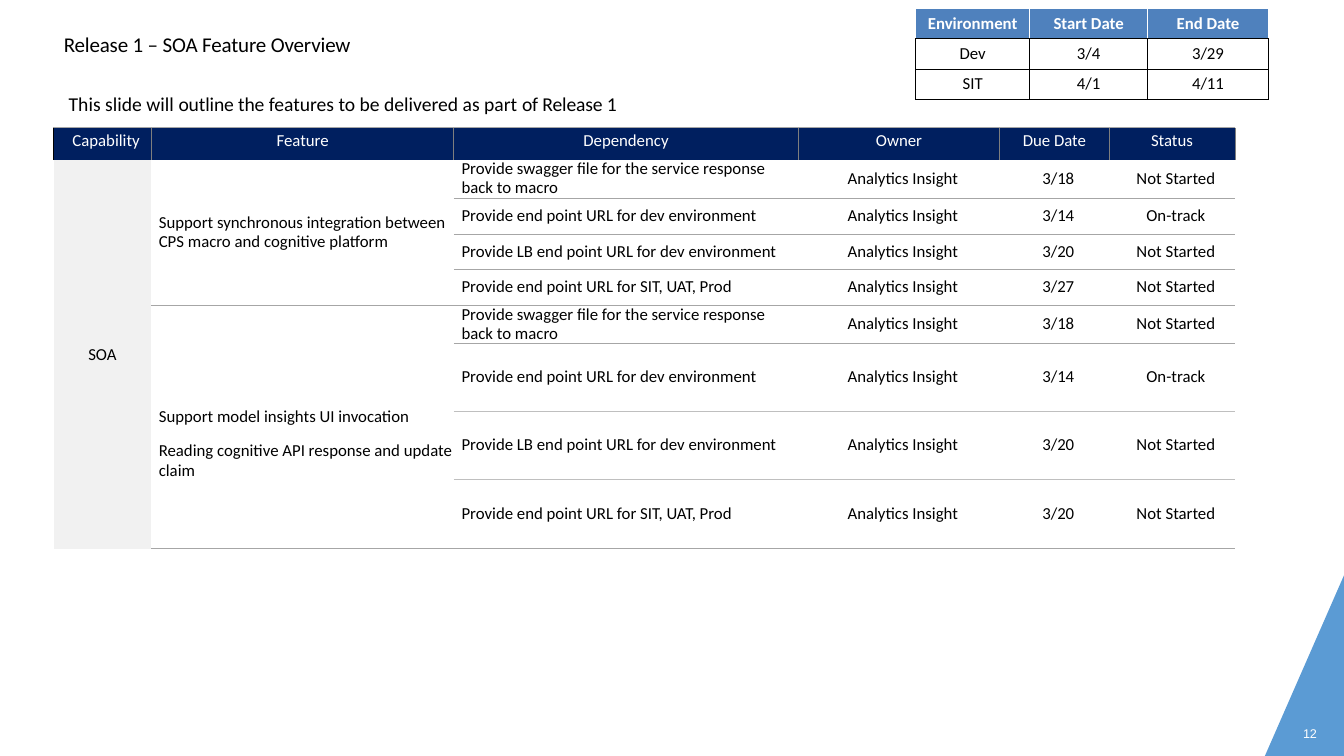
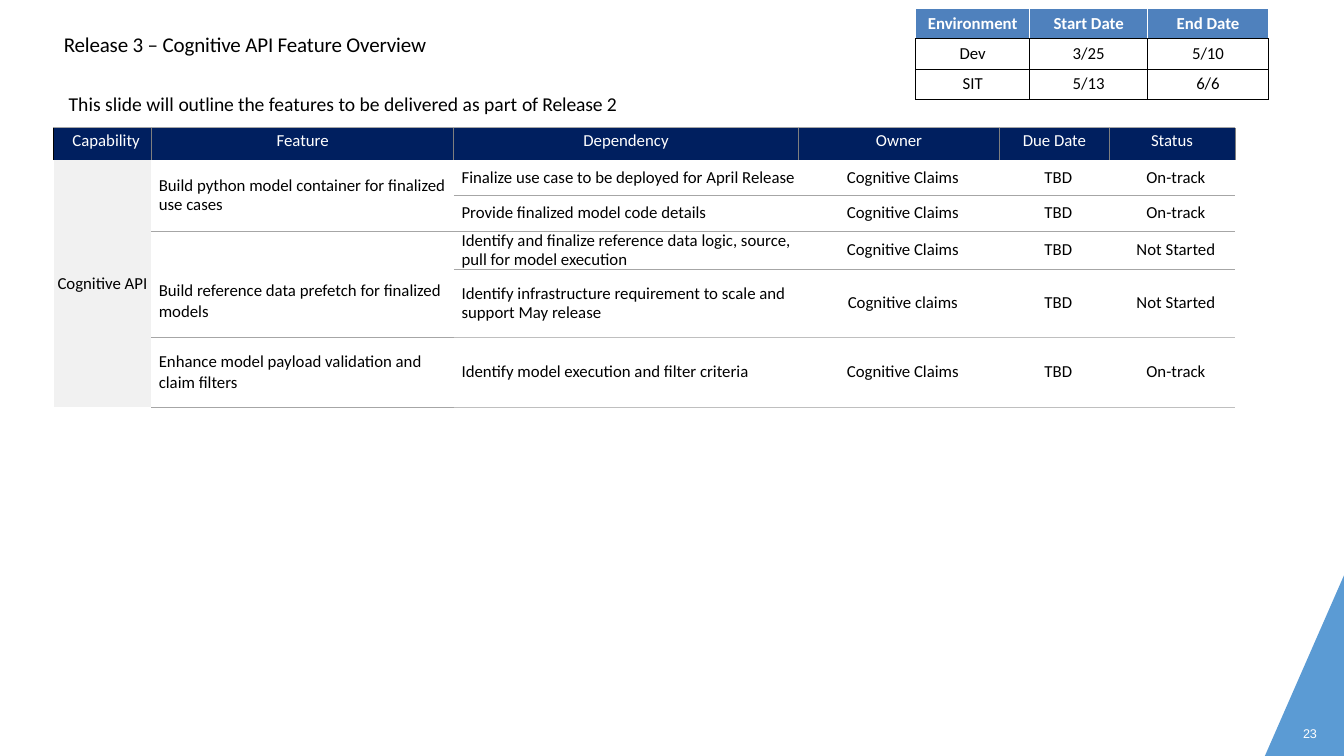
from pptx import Presentation
from pptx.dml.color import RGBColor
from pptx.enum import text
from pptx.oxml import ns, xmlchemy
from pptx.util import Pt

WHITE = RGBColor(0xFF, 0xFF, 0xFF)
BLACK = RGBColor(0x00, 0x00, 0x00)
NAVY = RGBColor(0x00, 0x1F, 0x5F)
BLUE = RGBColor(0x4F, 0x81, 0xBD)
CORNER_BLUE = RGBColor(0x5B, 0x9B, 0xD4)
PANEL = RGBColor(0xF1, 0xF1, 0xF1)
DIVIDER = RGBColor(0x7E, 0x7E, 0x7E)
RULE = RGBColor(0xA6, 0xA6, 0xA6)
LIGHT_RULE = RGBColor(0xBF, 0xBF, 0xBF)

SLIDE_W, SLIDE_H = 960, 540
PLAIN_STYLE = "{2D5ABB26-0587-4C30-8999-92F81FD0307C}"
CENTER = text.PP_ALIGN.CENTER
TIGHT = -10
SIDES = ("L", "R", "T", "B")
SHORT, TWO_LINE, TALL, LAST = 25.5, 27.4, 48.5, 49.5

FEATURE_COLS = (70, 216, 246, 144, 78, 90)
FEATURE_HEADS = ("Capability", "Feature", "Dependency", "Owner", "Due Date", "Status")
ENV_COLS = (81.5, 84.25, 86.25)
ENV_HEADS = ("Environment", "Start Date", "End Date")

RELEASES = [
    {
        "title": "Release 1 – SOA Feature Overview",
        "release": "of Release 1",
        "page": "12",
        "environments": [("Dev", "3/4", "3/29"), ("SIT", "4/1", "4/11")],
        "capability": "SOA",
        "features": [
            (4, 0, 13.4, ["Support synchronous integration between CPS macro and cognitive platform"]),
            (4, 24, None, ["Support model insights UI invocation",
                           "Reading cognitive API response and update claim"]),
        ],
        "rows": [
            (TWO_LINE, RULE, "Provide swagger file for the service response back to macro",
             "Analytics Insight", "3/18", "Not Started"),
            (SHORT, RULE, "Provide end point URL for dev environment",
             "Analytics Insight", "3/14", "On-track"),
            (SHORT, RULE, "Provide LB end point URL for dev environment",
             "Analytics Insight", "3/20", "Not Started"),
            (SHORT, RULE, "Provide end point URL for SIT, UAT, Prod",
             "Analytics Insight", "3/27", "Not Started"),
            (TWO_LINE, RULE, "Provide swagger file for the service response back to macro",
             "Analytics Insight", "3/18", "Not Started"),
            (TALL, LIGHT_RULE, "Provide end point URL for dev environment",
             "Analytics Insight", "3/14", "On-track"),
            (TALL, LIGHT_RULE, "Provide LB end point URL for dev environment",
             "Analytics Insight", "3/20", "Not Started"),
            (LAST, RULE, "Provide end point URL for SIT, UAT, Prod",
             "Analytics Insight", "3/20", "Not Started"),
        ],
    },
    {
        "title": "Release 3 – Cognitive API Feature Overview",
        "release": "of Release 2",
        "page": "23",
        "environments": [("Dev", "3/25", "5/10"), ("SIT", "5/13", "6/6")],
        "capability": "Cognitive API",
        "features": [
            (2, 0, 13.4, ["Build python model container for finalized use cases"]),
            (2, 24, None, ["Build reference data prefetch for finalized models"]),
            (1, 0, None, ["Enhance model payload validation and claim filters"]),
        ],
        "rows": [
            (SHORT, RULE, "Finalize use case to be deployed for April Release",
             "Cognitive Claims", "TBD", "On-track"),
            (SHORT, RULE, "Provide finalized model code details",
             "Cognitive Claims", "TBD", "On-track"),
            (TWO_LINE, RULE, "Identify and finalize reference data logic, source, pull for model execution",
             "Cognitive Claims", "TBD", "Not Started"),
            (TALL, LIGHT_RULE, "Identify infrastructure requirement to scale and support May release",
             "Cognitive claims", "TBD", "Not Started"),
            (LAST, LIGHT_RULE, "Identify model execution and filter criteria",
             "Cognitive Claims", "TBD", "On-track"),
        ],
    },
]


def add_run(p, words, size=12, color=BLACK, bold=False, font="Calibri", spacing=0):
    r = p.add_run()
    r.text = words
    r.font.size = Pt(size)
    r.font.name = font
    r.font.bold = bold
    r.font.color.rgb = color
    if spacing:
        r.font._element.set("spc", str(spacing))


def indent(p, left, first=0):
    pPr = p._p.get_or_add_pPr()
    pPr.set("marL", str(Pt(left)))
    pPr.set("indent", str(Pt(first)))


def add_text_box(s, x, y, w, h):
    tf = s.shapes.add_textbox(Pt(x), Pt(y), Pt(w), Pt(h)).text_frame
    tf.word_wrap = True
    tf.margin_left = tf.margin_right = tf.margin_top = tf.margin_bottom = 0
    return tf


def set_borders(cell, **edges):
    tcPr = cell._tc.get_or_add_tcPr()
    present = [side for side in SIDES if side in edges]
    for i, side in enumerate(present):
        color, width = edges[side]
        ln = xmlchemy.OxmlElement(f"a:ln{side}")
        ln.set("w", str(Pt(width)))
        fill = xmlchemy.OxmlElement("a:solidFill")
        rgb = xmlchemy.OxmlElement("a:srgbClr")
        rgb.set("val", str(color))
        fill.append(rgb)
        ln.append(fill)
        tcPr.insert(i, ln)


def fill_cell(cell, paragraphs, fill=None, align=None, left=0, spacing=None, gap=0,
              top=None, middle=True, **font):
    if fill is None:
        cell.fill.background()
    else:
        cell.fill.solid()
        cell.fill.fore_color.rgb = fill
    if top is not None:
        cell.margin_left = cell.margin_right = cell.margin_bottom = 0
        cell.margin_top = Pt(top)
    if middle:
        cell.vertical_anchor = text.MSO_ANCHOR.MIDDLE
    tf = cell.text_frame
    for i, words in enumerate(paragraphs):
        p = tf.add_paragraph() if i else tf.paragraphs[0]
        p.alignment = align
        if left:
            indent(p, left)
        if spacing:
            p.line_spacing = Pt(spacing)
        if i:
            p.space_before = Pt(gap)
        add_run(p, words, **font)


def add_plain_table(s, x, y, cols, heights):
    frame = s.shapes.add_table(len(heights), len(cols), Pt(x), Pt(y),
                               Pt(sum(cols)), Pt(sum(heights)))
    for style in frame.element.iter(ns.qn("a:tableStyleId")):
        style.text = PLAIN_STYLE
    table = frame.table
    table.horz_banding = False
    for col, w in zip(table.columns, cols):
        col.width = Pt(w)
    for row, h in zip(table.rows, heights):
        row.height = Pt(h)
    return table


def add_corner(s, x, y, w, h):
    builder = s.shapes.build_freeform(Pt(x + w), Pt(y))
    builder.add_line_segments([(Pt(x), Pt(y + h)), (Pt(x + w), Pt(y + h))], close=True)
    sp = builder.convert_to_shape()
    sp.shadow.inherit = False
    sp.fill.solid()
    sp.fill.fore_color.rgb = CORNER_BLUE
    sp.line.fill.background()


def add_page_number(s, x, y, page):
    p = add_text_box(s, x, y, 14.4, 12).paragraphs[0]
    indent(p, 2)
    add_run(p, page, size=9, color=WHITE, font="Arial", spacing=TIGHT)


def add_heading(s, x, y, title, release):
    tf = add_text_box(s, x, y, 476, 60)
    p = tf.paragraphs[0]
    indent(p, 1)
    add_run(p, title, size=15, spacing=TIGHT)
    p = tf.add_paragraph()
    indent(p, 4.5)
    p.space_before = Pt(25)
    for words, spacing in (("This slide will ", 0), ("outline the ", TIGHT), ("features ", 0),
                           ("to ", TIGHT), ("be delivered as part ", 0), (release, TIGHT)):
        add_run(p, words, size=14, spacing=spacing)


def add_environments(s, x, y, environments):
    table = add_plain_table(s, x, y, ENV_COLS, [21.6] * (len(environments) + 1))
    black, white = (BLACK, 0.75), (WHITE, 1)
    for r, values in enumerate([ENV_HEADS, *environments]):
        head = r == 0
        edge = white if head else black
        for c, words in enumerate(values):
            cell = table.cell(r, c)
            fill_cell(cell, [words], fill=BLUE if head else None, align=CENTER,
                      middle=not head, color=WHITE if head else BLACK, bold=head)
            set_borders(cell, L=edge, R=edge, T=edge if head else black, B=black)


def add_features(s, x, y, capability, features, rows):
    table = add_plain_table(s, x, y, FEATURE_COLS, [23] + [row[0] for row in rows])
    divider, rule = (DIVIDER, 0.75), (RULE, 0.75)

    for c, words in enumerate(FEATURE_HEADS):
        cell = table.cell(0, c)
        fill_cell(cell, [words], fill=NAVY, align=CENTER if c else None, left=0 if c else 13.5,
                  top=2, middle=False, color=WHITE, spacing=None)
        set_borders(cell, L=divider if c else (BLACK, 1), R=divider, T=rule)

    for r, (_, color, *values) in enumerate(rows, 1):
        for c, words in enumerate(values, 2):
            cell = table.cell(r, c)
            fill_cell(cell, [words], align=CENTER if c > 2 else None, left=5.5,
                      spacing=13.7, top=0)
            set_borders(cell, B=(color, 0.75))

    first = 1
    for span, top, spacing, paragraphs in features:
        last = first + span - 1
        cell = table.cell(first, 1)
        if span > 1:
            cell.merge(table.cell(last, 1))
        fill_cell(cell, paragraphs, left=5.25, spacing=spacing, gap=9.4, top=top)
        for r in range(first, last + 1):
            set_borders(table.cell(r, 1), B=rule)
        first = last + 1

    cell = table.cell(1, 0)
    cell.merge(table.cell(len(rows), 0))
    fill_cell(cell, [capability], fill=PANEL, align=CENTER, top=0)
    set_borders(cell, L=(WHITE, 1))


def add_release_slide(prs, release):
    s = prs.slides.add_slide(prs.slide_layouts[6])
    add_corner(s, SLIDE_W - 56.5, SLIDE_H - 129, 56.5, 129)
    add_heading(s, 44.6, 22.5, release["title"], release["release"])
    add_page_number(s, 928.8, 518.4, release["page"])
    add_features(s, 38.2, 91.4, release["capability"], release["features"], release["rows"])
    add_environments(s, 654, 6, release["environments"])


def main():
    prs = Presentation()
    prs.slide_width, prs.slide_height = Pt(SLIDE_W), Pt(SLIDE_H)
    for release in RELEASES:
        add_release_slide(prs, release)
    prs.save("out.pptx")


if __name__ == "__main__":
    main()
